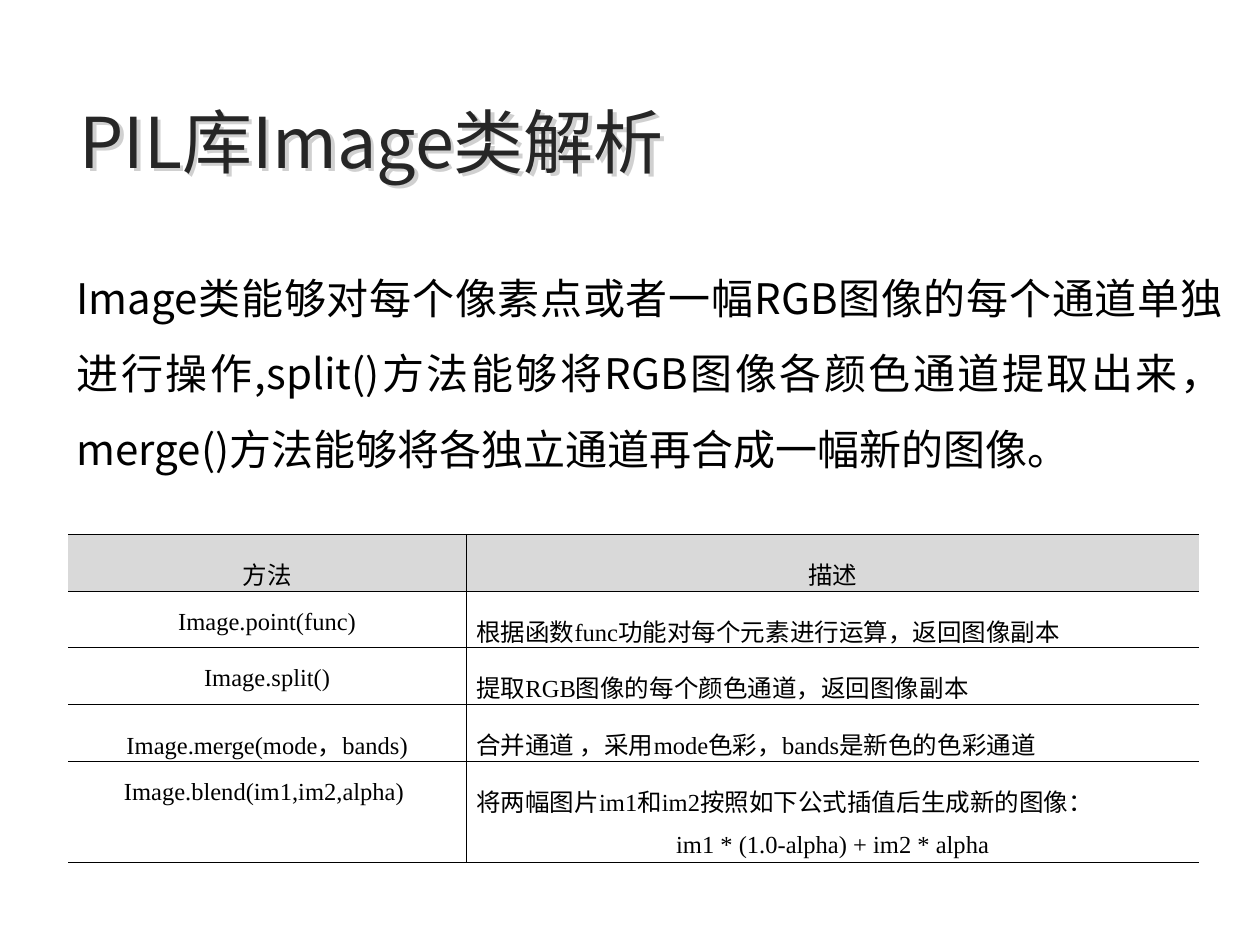
from lxml.etree import SubElement
from pptx import Presentation
from pptx.dml.color import RGBColor
from pptx.enum.text import MSO_ANCHOR, MSO_AUTO_SIZE, PP_ALIGN
from pptx.oxml.ns import qn
from pptx.util import Inches, Pt

BLACK = RGBColor(0x00, 0x00, 0x00)
WHITE = RGBColor(0xFF, 0xFF, 0xFF)
TITLE_GREY = RGBColor(0x26, 0x26, 0x26)
HEADER_GREY = RGBColor(0xD9, 0xD9, 0xD9)
SHADOW_GREY = RGBColor(0xD0, 0xD0, 0xD0)
SANS = "Noto Sans CJK SC"
SERIF = "Times New Roman"

TITLE = "PIL库Image类解析"
SUMMARY = (
    "Image类能够对每个像素点或者一幅RGB图像的每个通道单独进行操作,"
    "split()方法能够将RGB图像各颜色通道提取出来，"
    "merge()方法能够将各独立通道再合成一幅新的图像。"
)
HEADER = ("方法", "描述")
METHODS = [
    ("Image.point(func)", "根据函数func功能对每个元素进行运算，返回图像副本"),
    ("Image.split()", "提取RGB图像的每个颜色通道，返回图像副本"),
    ("Image.merge(mode，bands)", "合并通道 ，采用mode色彩，bands是新色的色彩通道"),
    ("Image.blend(im1,im2,alpha) ", "将两幅图片im1和im2按照如下公式插值后生成新的图像："),
]
FORMULA = "im1 * (1.0-alpha) + im2 * alpha"


def write(para, text, font=SANS, size=14, color=BLACK, align=PP_ALIGN.LEFT, spacing=1.0):
    """Fill a paragraph with one formatted span; Chinese is always sans."""
    para.alignment = align
    para.line_spacing = spacing
    # Punctuation stays inside the right margin
    para._p.get_or_add_pPr().set("hangingPunct", "0")
    span = para.add_run()
    span.text = text
    span.font.name = font
    span.font.size = Pt(size)
    span.font.color.rgb = color
    SubElement(span.font._element, qn("a:ea"), typeface=SANS)


def add_text_shadow(shape):
    """Give an unfilled shape a shadow, which falls from its letters."""
    shape.fill.background()
    effects = SubElement(shape._element.spPr, qn("a:effectLst"))
    shadow = SubElement(effects, qn("a:outerShdw"), blurRad="0", dist="38100",
                        dir="2700000", algn="tl")
    SubElement(shadow, qn("a:srgbClr"), val=str(SHADOW_GREY))


def set_borders(cell, left, right):
    """Rule the top and bottom, and the sides where asked."""
    sides = {"lnL": left, "lnR": right, "lnT": True, "lnB": True}
    properties = cell._tc.get_or_add_tcPr()
    for tag, visible in sides.items():
        line = SubElement(properties, qn(f"a:{tag}"), w=str(int(Pt(0.45))))
        if visible:
            fill = SubElement(line, qn("a:solidFill"))
            SubElement(fill, qn("a:srgbClr"), val=str(BLACK))
        else:
            SubElement(line, qn("a:noFill"))


def add_title(page):
    title = page.shapes.title
    title.left, title.top = Inches(0.53), Inches(0.73)
    title.width, title.height = Inches(5.3), Inches(0.77)
    frame = title.text_frame
    frame.word_wrap = False
    frame.auto_size = MSO_AUTO_SIZE.SHAPE_TO_FIT_TEXT
    frame.vertical_anchor = MSO_ANCHOR.TOP
    write(frame.paragraphs[0], TITLE, size=40, color=TITLE_GREY)
    add_text_shadow(title)


def add_summary(page):
    box = page.shapes.add_textbox(Inches(0.51), Inches(1.91), Inches(9.29), Inches(1.9))
    frame = box.text_frame
    frame.word_wrap = True
    frame.auto_size = MSO_AUTO_SIZE.SHAPE_TO_FIT_TEXT
    write(frame.paragraphs[0], SUMMARY, size=24, align=PP_ALIGN.JUSTIFY, spacing=1.5)


def add_method_table(page):
    rows = [HEADER, *METHODS]
    table = page.shapes.add_table(len(rows), 2, Inches(0.54), Inches(4.24),
                                  Inches(8.98), Inches(2.6)).table
    table.first_row = table.horz_banding = False
    table.columns[0].width, table.columns[1].width = Inches(3.16), Inches(5.82)
    for row in table.rows:
        row.height = Inches(0.45)
    table.rows[len(rows) - 1].height = Inches(0.8)

    for r, texts in enumerate(rows):
        for c, text in enumerate(texts):
            cell = table.cell(r, c)
            cell.margin_left = cell.margin_right = Inches(0.08)
            # Tight margins keep the tall Chinese lines within the row
            cell.margin_top, cell.margin_bottom = Inches(0.03), 0
            set_borders(cell, left=c == 1, right=c == 0)
            cell.fill.solid()
            cell.fill.fore_color.rgb = HEADER_GREY if r == 0 else WHITE
            centred = r == 0 or c == 0
            write(cell.text_frame.paragraphs[0], text, font=SERIF, spacing=1.5,
                  align=PP_ALIGN.CENTER if centred else PP_ALIGN.JUSTIFY)

    # The blend formula goes under its description
    formula = table.cell(len(rows) - 1, 1).text_frame.add_paragraph()
    write(formula, FORMULA, font=SERIF, align=PP_ALIGN.CENTER, spacing=1.5)


def main():
    deck = Presentation()
    deck.slide_width, deck.slide_height = Inches(10), Inches(7.5)
    page = deck.slides.add_slide(deck.slide_layouts[5])
    add_title(page)
    add_summary(page)
    add_method_table(page)
    deck.save("out.pptx")


if __name__ == "__main__":
    main()
